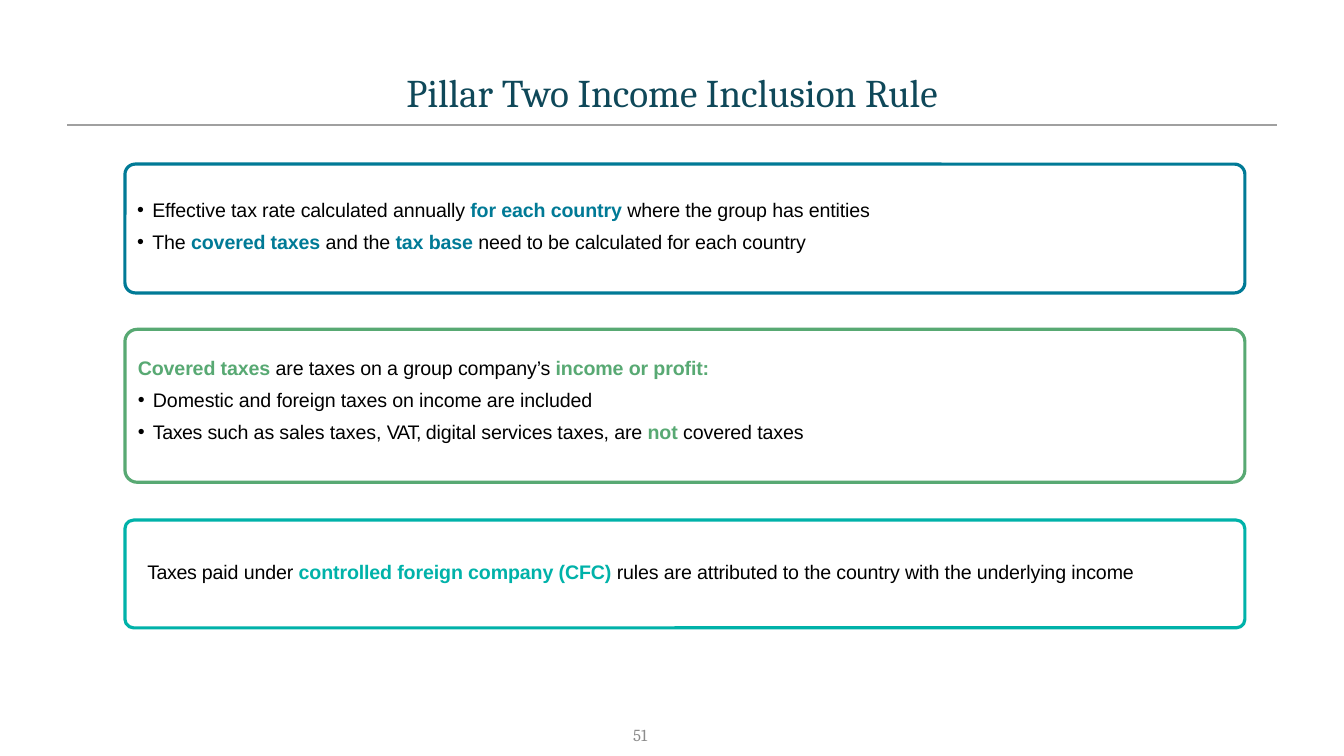
from dataclasses import dataclass

from lxml.etree import SubElement
from pptx import Presentation
from pptx.dml.color import RGBColor
from pptx.enum.shapes import MSO_CONNECTOR as Connector, MSO_SHAPE as Shape
from pptx.enum.text import MSO_ANCHOR as Anchor, MSO_AUTO_SIZE as AutoSize, PP_ALIGN as Align
from pptx.oxml.ns import qn
from pptx.slide import Slide
from pptx.text.text import TextFrame, _Paragraph as Paragraph
from pptx.util import Pt

BLACK = RGBColor(0x00, 0x00, 0x00)
NAVY = RGBColor(0x0F, 0x48, 0x59)
BLUE = RGBColor(0x00, 0x7A, 0x96)
GREEN = RGBColor(0x58, 0xA9, 0x73)
TEAL = RGBColor(0x00, 0xB2, 0xA9)
RULE_GRAY = RGBColor(0xA0, 0xA0, 0xA0)
NUMBER_GRAY = RGBColor(0x8C, 0x8C, 0x8C)

HEADING_FONT = "Cambria"
BODY_FONT = "Arial"
CARD_LEFT = 89.25
CARD_WIDTH = 800
TWO_CONTENT_LAYOUT = 3


@dataclass(frozen=True)
class Piece:
    text: str
    strong: bool = False
    tracking: float = -0.1


@dataclass(frozen=True)
class Line:
    pieces: tuple[Piece, ...]
    bulleted: bool = False


@dataclass(frozen=True)
class Area:
    left: float
    top: float
    width: float
    height: float

    def lengths(self) -> tuple[Pt, Pt, Pt, Pt]:
        return Pt(self.left), Pt(self.top), Pt(self.width), Pt(self.height)


@dataclass(frozen=True)
class Card:
    top: float
    height: float
    color: RGBColor
    text_area: Area
    inset_top: float
    lines: tuple[Line, ...]
    placeholder: int | None = None


CARDS = (
    Card(117.25, 92, BLUE, Area(97.25, 134, 551.5, 46.75), 7.2, (
        Line((Piece("Effective tax rate calculated annually "),
              Piece("for each country ", True),
              Piece("where the group has entities")), True),
        Line((Piece("The "), Piece("covered taxes ", True), Piece("and the "),
              Piece("tax base ", True),
              Piece("need to be calculated for each country")), True),
    ), 1),
    Card(235.25, 109.25, GREEN, Area(97.75, 247, 489, 69.75), 7.2, (
        Line((Piece("Covered taxes ", True),
              Piece("are taxes on a group company’s "),
              Piece("income or profit:", True))),
        Line((Piece("Domestic and foreign taxes on income are included"),), True),
        Line((Piece("Taxes ", tracking=-0.3), Piece("such as sales taxes, "),
              Piece("VAT, ", tracking=-0.9),
              Piece("digital services taxes, are "), Piece("not ", True),
              Piece("covered taxes")), True),
    ), 2),
    Card(371.5, 77, TEAL, Area(104.5, 399, 743, 18), 0.72, (
        Line((Piece("Taxes ", tracking=-0.3), Piece("paid under "),
              Piece("controlled foreign company (CFC) ", True),
              Piece("rules are attributed to the country with the underlying income"))),
    )),
)


def prepare_frame(frame: TextFrame, inset_top: float, anchor: Anchor) -> None:
    frame.word_wrap = True
    frame.auto_size = AutoSize.NONE
    frame.vertical_anchor = anchor
    frame.margin_left = frame.margin_right = frame.margin_bottom = Pt(0)
    frame.margin_top = Pt(inset_top)


def add_span(para: Paragraph, text: str, font: str, size: float,
             color: RGBColor, bold: bool = False, tracking: float = 0) -> None:
    span = para.add_run()
    span.text = text
    span.font.name = font
    span.font.size = Pt(size)
    span.font.bold = bold
    span.font.color.rgb = color
    if tracking:
        span.font._element.set("spc", str(round(tracking * 100)))


def set_bullet(para: Paragraph, bulleted: bool) -> None:
    properties = para._p.get_or_add_pPr()
    properties.set("marL", str(Pt(11.5 if bulleted else 0.72)))
    properties.set("indent", str(Pt(-10.8 if bulleted else 0)))
    if bulleted:
        SubElement(properties, qn("a:buFont")).set("typeface", BODY_FONT)
        SubElement(properties, qn("a:buChar")).set("char", "•")
    else:
        SubElement(properties, qn("a:buNone"))


def draw_card(page: Slide, card: Card) -> None:
    outline = page.shapes.add_shape(
        Shape.ROUNDED_RECTANGLE, Pt(CARD_LEFT), Pt(card.top), Pt(CARD_WIDTH), Pt(card.height))
    outline.adjustments[0] = 0.08
    outline.shadow.inherit = False
    outline.fill.background()
    outline.line.color.rgb = card.color
    outline.line.width = Pt(2.28)

    if card.placeholder is None:
        box = page.shapes.add_textbox(*card.text_area.lengths())
    else:
        box = page.placeholders[card.placeholder]
        box.left, box.top, box.width, box.height = card.text_area.lengths()
    frame = box.text_frame
    prepare_frame(frame, card.inset_top, Anchor.TOP)
    for index, line in enumerate(card.lines):
        para = frame.add_paragraph() if index else frame.paragraphs[0]
        set_bullet(para, line.bulleted)
        para.space_before = Pt(6 if index else 0)
        for piece in line.pieces:
            add_span(para, piece.text, BODY_FONT, 14,
                     card.color if piece.strong else BLACK, piece.strong, piece.tracking)


def draw_heading(page: Slide) -> None:
    rule = page.shapes.add_connector(Connector.STRAIGHT, Pt(48), Pt(89.25), Pt(912), Pt(89.25))
    rule.line.color.rgb = RULE_GRAY
    rule.line.width = Pt(1)
    SubElement(rule._element.spPr, qn("a:effectLst"))

    title = page.shapes.title
    title.left, title.top, title.width, title.height = Area(48, 41.75, 864, 48).lengths()
    prepare_frame(title.text_frame, 0, Anchor.MIDDLE)
    para = title.text_frame.paragraphs[0]
    para.alignment = Align.CENTER
    add_span(para, "Pillar Two Income Inclusion Rule", HEADING_FONT, 28, NAVY)


def draw_page_number(page: Slide) -> None:
    box = page.shapes.add_textbox(*Area(420.5, 518.5, 41.75, 12.25).lengths())
    prepare_frame(box.text_frame, 0, Anchor.MIDDLE)
    para = box.text_frame.paragraphs[0]
    para.alignment = Align.RIGHT
    add_span(para, "51", HEADING_FONT, 12, NUMBER_GRAY)


def main() -> None:
    deck = Presentation()
    deck.slide_width, deck.slide_height = Pt(960), Pt(540)
    page = deck.slides.add_slide(deck.slide_layouts[TWO_CONTENT_LAYOUT])
    draw_heading(page)
    for card in CARDS:
        draw_card(page, card)
    draw_page_number(page)
    deck.save("out.pptx")


if __name__ == "__main__":
    main()
